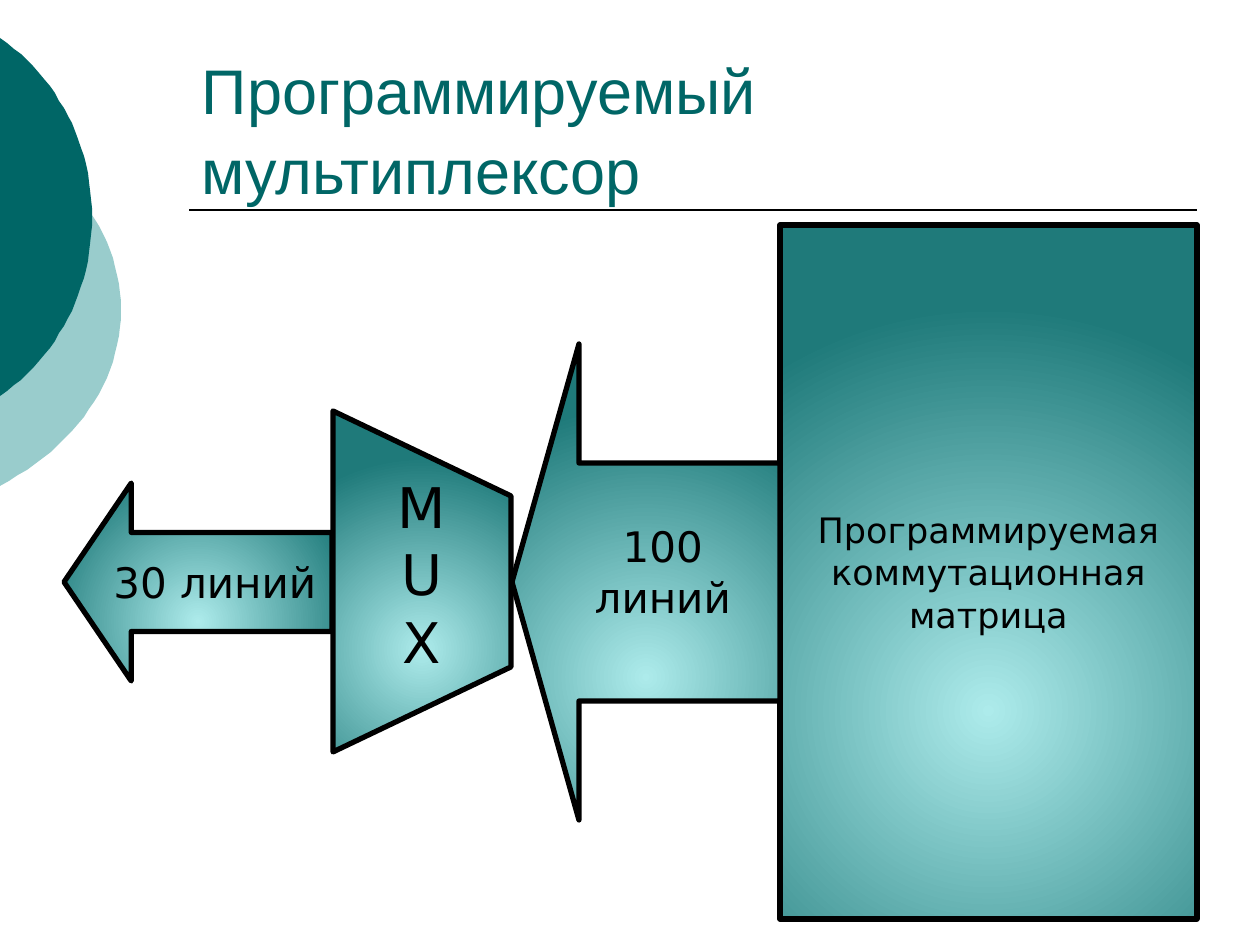
import dataclasses

import lxml.etree
import pptx
import pptx.dml.color
import pptx.enum.shapes
import pptx.enum.text
import pptx.oxml
import pptx.oxml.ns
import pptx.util

PX = pptx.util.Inches(1) / 126
SHAPE = pptx.enum.shapes.MSO_SHAPE
ALIGN = pptx.enum.text.PP_ALIGN
ANCHOR = pptx.enum.text.MSO_ANCHOR


@dataclasses.dataclass(frozen=True)
class Theme:
    dark: str = "006666"
    pale: str = "99CCCC"
    ink: str = "000000"
    glow: str = "ADEBEB"
    shade: str = "1F7A7A"
    title_font: str = "Arial"
    body_font: str = "DejaVu Sans"
    title_size: int = 36
    mux_size: int = 32
    arrow_size: int = 24
    matrix_size: int = 20
    outline: int = 3
    rule: int = 1


THEME = Theme()


def emu(px):
    return round(px * PX)


def rgb(value):
    return pptx.dml.color.RGBColor.from_string(value)


def write_text(shape, text, *, size, font=THEME.body_font, color=THEME.ink,
               align=ALIGN.CENTER, anchor=ANCHOR.MIDDLE,
               insets=(13, 6, 13, 6), spacing=None):
    """Fill a shape with one paragraph; insets are left, top, right, bottom."""
    frame = shape.text_frame
    frame.word_wrap = True
    frame.vertical_anchor = anchor
    (frame.margin_left, frame.margin_top,
     frame.margin_right, frame.margin_bottom) = map(emu, insets)
    para = frame.paragraphs[0]
    para.alignment = align
    para.line_spacing = spacing
    span = para.add_run()
    span.text = text
    span.font.size = pptx.util.Pt(size)
    span.font.name = font
    span.font.color.rgb = rgb(color)


def apply_glow(shape):
    """Give a block its off-centre radial gradient and heavy outline."""
    shape.shadow.inherit = False
    shape.line.color.rgb = rgb(THEME.ink)
    shape.line.width = pptx.util.Pt(THEME.outline)
    gradient = pptx.oxml.parse_xml(
        f'<a:gradFill {pptx.oxml.ns.nsdecls("a")} rotWithShape="1"><a:gsLst>'
        f'<a:gs pos="0"><a:srgbClr val="{THEME.glow}"/></a:gs>'
        f'<a:gs pos="100000"><a:srgbClr val="{THEME.shade}"/></a:gs></a:gsLst>'
        '<a:path path="circle">'
        '<a:fillToRect l="50000" t="70000" r="50000" b="30000"/>'
        '</a:path></a:gradFill>')
    shape.line._get_or_add_ln().addprevious(gradient)


def add_block(page, kind, left, top, width, height, adjustments=()):
    block = page.shapes.add_shape(kind, *map(emu, (left, top, width, height)))
    for index, value in enumerate(adjustments):
        block.adjustments[index] = value
    apply_glow(block)
    return block


def add_outline(page, points):
    builder = page.shapes.build_freeform(*points[0], scale=PX)
    builder.add_line_segments(points[1:], close=True)
    outline = builder.convert_to_shape()
    outline.shadow.inherit = False
    return outline


def curve(start, pull_out, pull_in, end, steps=24):
    """Points along a cubic curve, both ends included."""
    def point(t):
        s = 1 - t
        weights = (s ** 3, 3 * s * s * t, 3 * s * t * t, t ** 3)
        controls = (start, pull_out, pull_in, end)
        return tuple(sum(w * c[axis] for w, c in zip(weights, controls))
                     for axis in (0, 1))
    return [point(step / steps) for step in range(steps + 1)]


def add_disc(page, color, top, middle, bottom, shoulder, reach, bend):
    """Part of an ellipse that enters from the left edge of the page."""
    tip = (reach, middle)
    upper = curve((0, top), (shoulder, top + bend),
                  (reach, middle - (middle - top) * 0.4), tip)
    lower = curve(tip, (reach, middle + (bottom - middle) * 0.4),
                  (shoulder, bottom - bend), (0, bottom))
    disc = add_outline(page, upper + lower[1:])
    disc.fill.solid()
    disc.fill.fore_color.rgb = rgb(color)
    disc.line.fill.background()


def add_rule(page, left, right, y):
    rule = page.shapes.add_connector(
        pptx.enum.shapes.MSO_CONNECTOR.STRAIGHT,
        *map(emu, (left, y, right, y)))
    rule.line.color.rgb = rgb(THEME.ink)
    rule.line.width = pptx.util.Pt(THEME.rule)
    lxml.etree.SubElement(rule._element.spPr,
                          pptx.oxml.ns.qn("a:effectLst"))


def add_title(page, text):
    box = page.shapes.add_textbox(*map(emu, (189, 42, 1008, 157)))
    write_text(box, text, size=THEME.title_size, font=THEME.title_font,
               color=THEME.dark, align=ALIGN.LEFT, anchor=ANCHOR.TOP,
               spacing=1.05)


def add_multiplexer(page):
    mux = add_outline(page, [(333, 411), (511, 496), (511, 667), (333, 752)])
    apply_glow(mux)
    # Side insets leave room for a single letter per line.
    write_text(mux, "MUX", size=THEME.mux_size, insets=(59, 0, 59, 16))


def main():
    deck = pptx.Presentation()
    deck.slide_width = pptx.util.Inches(10)
    deck.slide_height = pptx.util.Inches(7.5)
    page = deck.slides.add_slide(deck.slide_layouts[6])

    add_disc(page, THEME.pale, top=134, middle=310, bottom=486,
             shoulder=76, reach=121, bend=40)
    add_disc(page, THEME.dark, top=38, middle=217, bottom=396,
             shoulder=58, reach=92, bend=40)
    add_rule(page, 189, 1197, 210)
    add_title(page, "Программируемый мультиплексор")

    matrix = add_block(page, SHAPE.RECTANGLE, 780, 225, 417, 694)
    write_text(matrix, "Программируемая коммутационная матрица",
               size=THEME.matrix_size)
    inputs = add_block(page, SHAPE.LEFT_ARROW, 512, 344, 268, 476, (0.5, 0.25))
    write_text(inputs, "100 линий", size=THEME.arrow_size,
               insets=(13, 6, 13, 28))
    add_multiplexer(page)
    outputs = add_block(page, SHAPE.LEFT_ARROW, 64, 483, 268, 198,
                        (0.5, 0.34))
    write_text(outputs, "30 линий", size=THEME.arrow_size)

    deck.save("out.pptx")


if __name__ == "__main__":
    main()
